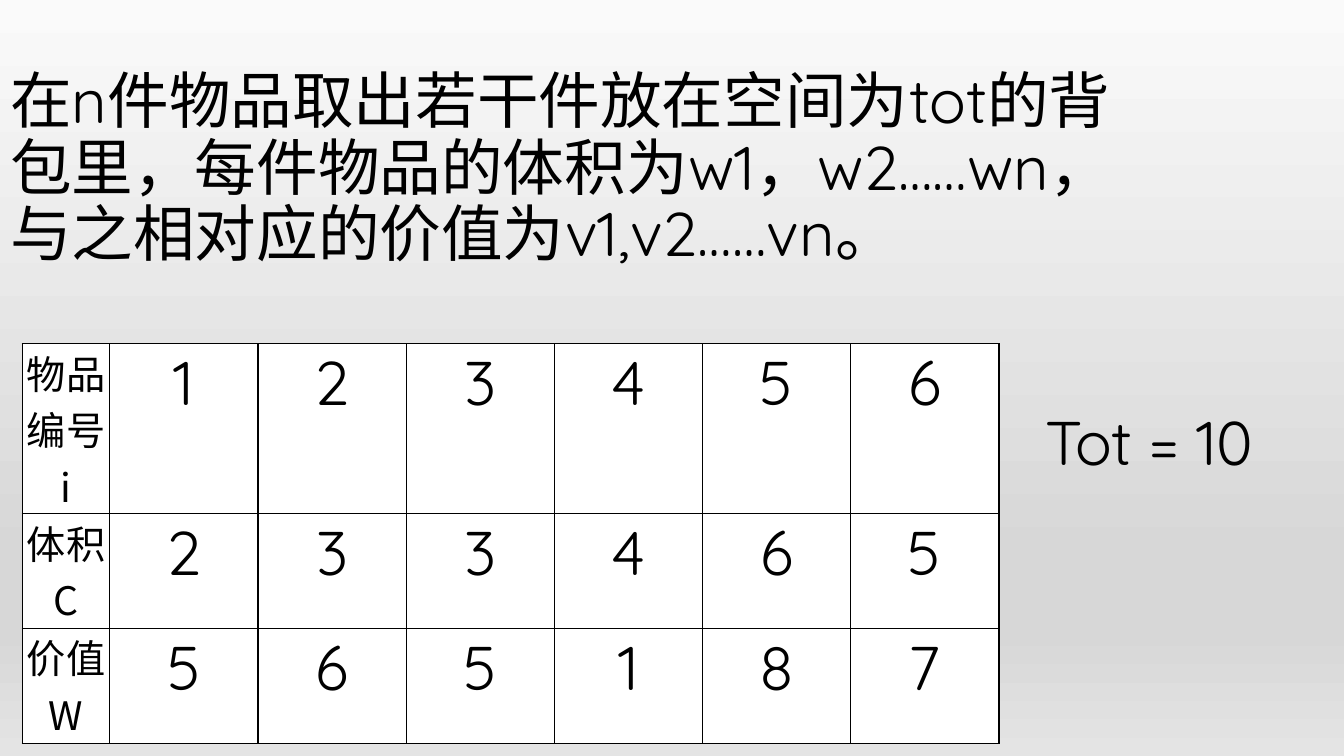
from copy import deepcopy
from dataclasses import dataclass

from lxml import etree
from pptx import Presentation
from pptx.dml.color import RGBColor
from pptx.enum.text import MSO_AUTO_SIZE, PP_ALIGN
from pptx.oxml.ns import qn
from pptx.util import Inches, Pt

CENTER = PP_ALIGN.CENTER
NO_FIT = MSO_AUTO_SIZE.NONE
GROW = MSO_AUTO_SIZE.SHAPE_TO_FIT_TEXT
MAIN, HAN = "Quicksand", "Noto Sans CJK SC"
BLACK, WHITE = "000000", "FFFFFF"
STOPS = [(0, "FAFAFA"), (74, "D7D7D7"), (83, "D7D7D7"), (100, "E4E4E4")]


@dataclass
class Row:
    head: str
    nums: list[int]


ROWS = [
    Row("物品\n编号i", [1, 2, 3, 4, 5, 6]),
    Row("体积C", [2, 3, 3, 4, 6, 5]),
    Row("价值W", [5, 6, 5, 1, 8, 7]),
]


def color(code: str) -> RGBColor:
    return RGBColor.from_string(code)


def style(para, size: int, face: str) -> None:
    para.font.size = Pt(size)
    para.font.name = face
    para.font.color.rgb = color(BLACK)


def place(shape, left: float, top: float, width: float, height: float) -> None:
    shape.left, shape.top = Inches(left), Inches(top)
    shape.width, shape.height = Inches(width), Inches(height)


def shade(slide) -> None:
    fill = slide.background.fill
    fill.gradient()
    fill.gradient_angle = 270
    stops = slide.background._cSld.find(".//" + qn("a:gsLst"))
    for _ in STOPS[2:]:
        stops.append(deepcopy(stops[0]))
    for stop, (spot, code) in zip(fill.gradient_stops, STOPS):
        stop.position = spot / 100
        stop.color.rgb = color(code)


def border(cell) -> None:
    props = cell._tc.get_or_add_tcPr()
    for side in ("lnL", "lnR", "lnT", "lnB"):
        line = etree.SubElement(props, qn(f"a:{side}"), w=str(Pt(1)))
        solid = etree.SubElement(line, qn("a:solidFill"))
        etree.SubElement(solid, qn("a:srgbClr"), val=BLACK)


def fill_cell(cell, text: str, size: int, face: str) -> None:
    border(cell)
    cell.fill.solid()
    cell.fill.fore_color.rgb = color(WHITE)
    cell.margin_left = cell.margin_right = 0
    cell.margin_top = cell.margin_bottom = 0
    cell.text = text
    for para in cell.text_frame.paragraphs:
        para.alignment = CENTER
        style(para, size, face)


def add_grid(slide) -> None:
    wide = [0.87] + [1.47] * 6
    high = 1.14
    table = slide.shapes.add_table(
        len(ROWS), len(wide), Inches(0.22), Inches(3.41),
        Inches(sum(wide)), Inches(high * len(ROWS))).table
    for col, width in zip(table.columns, wide):
        col.width = Inches(width)
    for i, row in enumerate(ROWS):
        table.rows[i].height = Inches(high)
        fill_cell(table.cell(i, 0), row.head, 28, HAN)
        for j, num in enumerate(row.nums, 1):
            fill_cell(table.cell(i, j), str(num), 44, MAIN)


def add_task(slide) -> None:
    body = slide.placeholders[1]
    place(body, 0, 0.65, 11.5, 2.24)
    frame = body.text_frame
    frame.auto_size = NO_FIT
    frame.text = ("在n件物品取出若干件放在空间为tot的背包里，每件物品的体积为"
                  "w1，w2……wn，与之相对应的价值为v1,v2……vn。")
    para = frame.paragraphs[0]
    props = para._p.get_or_add_pPr()
    props.set("marL", "0")
    props.set("indent", "0")
    etree.SubElement(props, qn("a:buNone"))
    para.line_spacing = 0.9
    para.space_before = Pt(0)
    style(para, 44, MAIN)


def add_total(slide) -> None:
    box = slide.shapes.add_textbox(0, 0, 0, 0)
    place(box, 10.27, 3.96, 3.06, 0.84)
    frame = box.text_frame
    frame.word_wrap = True
    frame.auto_size = GROW
    frame.text = "Tot = 10"
    style(frame.paragraphs[0], 44, MAIN)


def main() -> None:
    deck = Presentation()
    deck.slide_width, deck.slide_height = Inches(13.33), Inches(7.5)
    slide = deck.slides.add_slide(deck.slide_layouts[1])
    # The slide has body text but no title
    title = slide.shapes.title.element
    title.getparent().remove(title)
    shade(slide)
    # Problem, item table and capacity
    add_task(slide)
    add_grid(slide)
    add_total(slide)
    deck.save("out.pptx")


if __name__ == "__main__":
    main()
